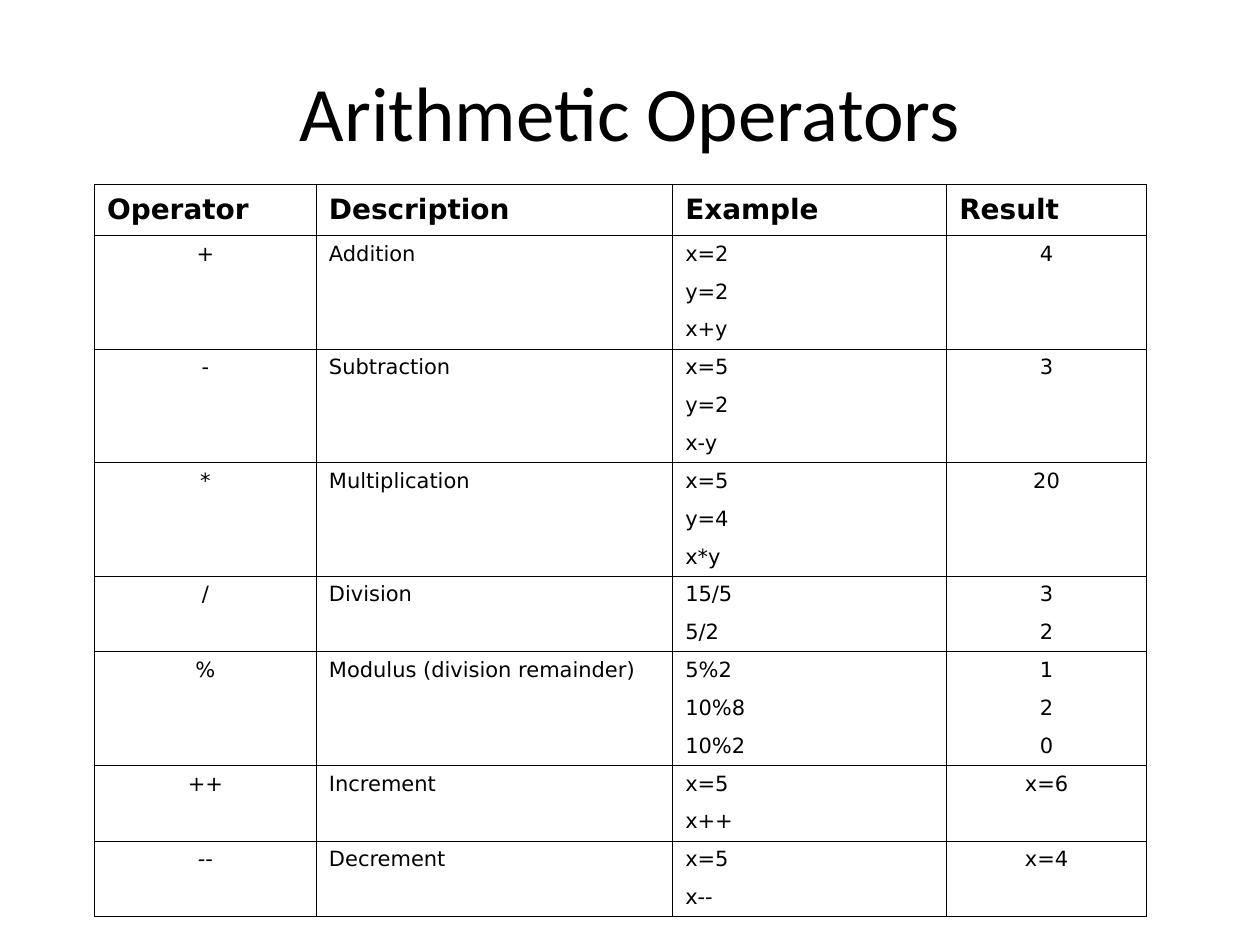
from dataclasses import dataclass
from lxml.etree import SubElement as Sub
from pptx import Presentation
from pptx.dml.color import RGBColor as Rgb
from pptx.enum.text import MSO_ANCHOR as Anchor, PP_ALIGN as Align
from pptx.oxml.ns import qn
from pptx.util import Pt


@dataclass
class Theme:
    ink: str = "000000"
    paper: str = "FFFFFF"
    face: str = "Calibri"
    mono: str = "DejaVu Sans"
    title: int = 44
    head: int = 16
    body: int = 12
    line: float = 0.45


look = Theme()


def write(para, text, face, size, bold=False, align=Align.LEFT):
    para.text = text
    para.alignment = align
    font = para.font
    font.name, font.size, font.bold = face, Pt(size), bold
    font.color.rgb = Rgb.from_string(look.ink)


def edge(cell, sides):
    props = cell._tc.get_or_add_tcPr()
    for side in "LRTB":
        line = Sub(props, qn("a:ln" + side), w=str(Pt(look.line)))
        if side in sides:
            fill = Sub(line, qn("a:solidFill"))
            Sub(fill, qn("a:srgbClr"), val=look.ink)
        else:
            Sub(line, qn("a:noFill"))
    cell.fill.solid()
    cell.fill.fore_color.rgb = Rgb.from_string(look.paper)


heads = ["Operator", "Description", "Example", "Result"]
groups = [
    (["+"], ["Addition"], ["x=2", "y=2", "x+y"], ["4"]),
    (["-"], ["Subtraction"], ["x=5", "y=2", "x-y"], ["3"]),
    (["*"], ["Multiplication"], ["x=5", "y=4", "x*y"], ["20"]),
    (["/"], ["Division"], ["15/5", "5/2"], ["3", "2"]),
    (["%"], ["Modulus (division remainder)"], ["5%2", "10%8", "10%2"], ["1", "2", "0"]),
    (["++"], ["Increment"], ["x=5", "x++"], ["x=6"]),
    (["--"], ["Decrement"], ["x=5", "x--"], ["x=4"]),
]
widths = [126.8, 203.6, 156.6, 114.2]
aligns = [Align.CENTER, Align.LEFT, Align.LEFT, Align.CENTER]
tall, step = 29.2, 21.63

deck = Presentation()
deck.slide_width, deck.slide_height = Pt(720), Pt(540)
slide = deck.slides.add_slide(deck.slide_layouts[6])

title = slide.shapes.add_textbox(Pt(24), Pt(18), Pt(672), Pt(90)).text_frame
title.word_wrap = True
title.vertical_anchor = Anchor.MIDDLE
write(title.paragraphs[0], "Arithmetic Operators", look.face, look.title, align=Align.CENTER)

count = sum(len(group[2]) for group in groups)
frame = slide.shapes.add_table(
    count + 1, len(heads), Pt(54), Pt(105.3), Pt(sum(widths)), Pt(tall + count * step)
)
table = frame.table
table.first_row = table.horz_banding = False
for col, width in zip(table.columns, widths):
    col.width = Pt(width)
for num, row in enumerate(table.rows):
    row.height = Pt(step if num else tall)

for col, head in enumerate(heads):
    cell = table.cell(0, col)
    edge(cell, "LRTB")
    cell.vertical_anchor = Anchor.MIDDLE
    write(cell.text_frame.paragraphs[0], head, look.mono, look.head, True)

top = 1
for group in groups:
    size = len(group[2])
    for col, texts in enumerate(group):
        whole = len(texts) == 1
        for num in range(size):
            first, last = num == 0, num == size - 1
            sides = "LR" + "T" * first + "B" * (last or whole and first)
            cell = table.cell(top + num, col)
            edge(cell, sides)
            if num < len(texts):
                para = cell.text_frame.paragraphs[0]
                write(para, texts[num], look.mono, look.body, align=aligns[col])
        if whole:
            table.cell(top, col).merge(table.cell(top + size - 1, col))
    top += size

deck.save("out.pptx")
